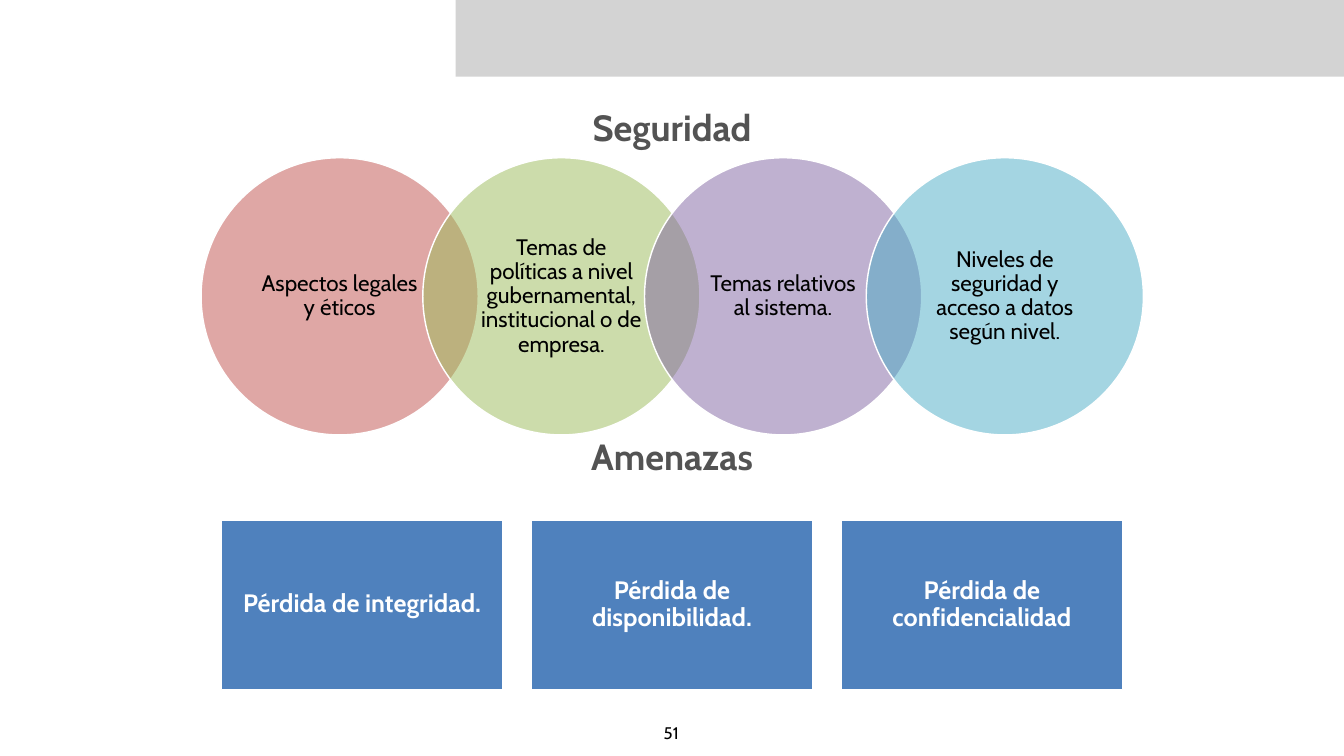
from dataclasses import dataclass

from lxml.etree import SubElement
from pptx import Presentation
from pptx.dml.color import RGBColor
from pptx.enum.shapes import MSO_SHAPE as Shape
from pptx.enum.text import MSO_ANCHOR as Anchor, MSO_AUTO_SIZE as AutoSize, PP_ALIGN as Align
from pptx.oxml.ns import qn
from pptx.util import Inches, Pt


@dataclass(frozen=True)
class Theme:
    font: str = "Cabin"
    bar: str = "D3D3D3"
    heading: str = "535353"
    threat: str = "4F81BD"
    dark: str = "000000"
    light: str = "FFFFFF"
    heading_size: int = 52
    threat_size: int = 36
    topic_size: int = 32
    number_size: int = 24


@dataclass(frozen=True)
class Box:
    left: float
    top: float
    width: float
    height: float

    def lengths(self) -> tuple:
        return tuple(Inches(v) for v in (self.left, self.top, self.width, self.height))


@dataclass(frozen=True)
class Topic:
    text: str
    color: str


@dataclass(frozen=True)
class TextStyle:
    size: int
    color: str
    bold: bool = False
    spacing: float = 1.0
    inset_x: float = 0.08
    inset_y: float = 0.08
    anchor: Anchor = Anchor.MIDDLE
    wrap: bool = True


THEME = Theme()
HEADING = TextStyle(THEME.heading_size, THEME.heading, bold=True)
TOPIC = TextStyle(THEME.topic_size, THEME.dark, spacing=0.9, inset_x=0.3, inset_y=0.04)
THREAT = TextStyle(THEME.threat_size, THEME.light, bold=True, spacing=0.9,
                   inset_x=0.15, inset_y=0.15)
NUMBER = TextStyle(THEME.number_size, THEME.dark, anchor=Anchor.TOP, wrap=False)

TOPICS = [
    Topic("Aspectos legales y éticos", "C0504D"),
    Topic("Temas de políticas a nivel gubernamental, institucional o de empresa.", "9BBB59"),
    Topic("Temas relativos al sistema.", "8064A2"),
    Topic("Niveles de seguridad y acceso a datos según nivel.", "4BACC6"),
]
THREATS = ["Pérdida de integridad.", "Pérdida de disponibilidad.", "Pérdida de confidencialidad"]
CIRCLE_STEP = 4.4
THREAT_STEP = 6.15


def write(sp, text: str, style: TextStyle) -> None:
    tf = sp.text_frame
    tf.text = text
    tf.auto_size = AutoSize.NONE
    tf.word_wrap = style.wrap
    tf.vertical_anchor = style.anchor
    tf.margin_left = tf.margin_right = Inches(style.inset_x)
    tf.margin_top = tf.margin_bottom = Inches(style.inset_y)
    p = tf.paragraphs[0]
    p.alignment = Align.CENTER
    p.line_spacing = style.spacing
    p.font.name = THEME.font
    p.font.size = Pt(style.size)
    p.font.bold = style.bold
    p.font.color.rgb = RGBColor.from_string(style.color)


def add_filled(s, kind: Shape, box: Box, color: str, outlined: bool = True):
    sp = s.shapes.add_shape(kind, *box.lengths())
    sp.shadow.inherit = False
    sp.fill.solid()
    sp.fill.fore_color.rgb = RGBColor.from_string(color)
    if outlined:
        sp.line.color.rgb = RGBColor.from_string(THEME.light)
        sp.line.width = Pt(2)
    else:
        sp.line.fill.background()
    return sp


def set_opacity(sp, percent: int) -> None:
    color = sp._element.spPr.find(qn("a:solidFill")).find(qn("a:srgbClr"))
    SubElement(color, qn("a:alpha")).set("val", str(percent * 1000))


def add_text(s, box: Box, text: str, style: TextStyle) -> None:
    write(s.shapes.add_textbox(*box.lengths()), text, style)


def add_title(s, box: Box, text: str) -> None:
    title = s.shapes.title
    title.left, title.top, title.width, title.height = box.lengths()
    write(title, text, HEADING)


def main() -> None:
    prs = Presentation()
    prs.slide_width, prs.slide_height = Inches(26.67), Inches(15)
    s = prs.slides.add_slide(prs.slide_layouts[5])

    add_filled(s, Shape.RECTANGLE, Box(9.04, 0, 17.63, 1.52), THEME.bar, outlined=False)
    add_title(s, Box(5.29, 2.01, 16.09, 1.03), "Seguridad")

    for i, topic in enumerate(TOPICS):
        circle = add_filled(s, Shape.OVAL, Box(3.99 + i * CIRCLE_STEP, 3.13, 5.5, 5.5), topic.color)
        set_opacity(circle, 50)
        write(circle, topic.text, TOPIC)

    for i, threat in enumerate(THREATS):
        card = add_filled(s, Shape.RECTANGLE, Box(4.39 + i * THREAT_STEP, 10.32, 5.59, 3.36),
                          THEME.threat)
        write(card, threat, THREAT)

    add_text(s, Box(5.29, 8.53, 16.09, 1.03), "Amenazas", HEADING)
    add_text(s, Box(13.07, 14.26, 0.5, 0.55), "51", NUMBER)

    prs.save("out.pptx")


if __name__ == "__main__":
    main()
